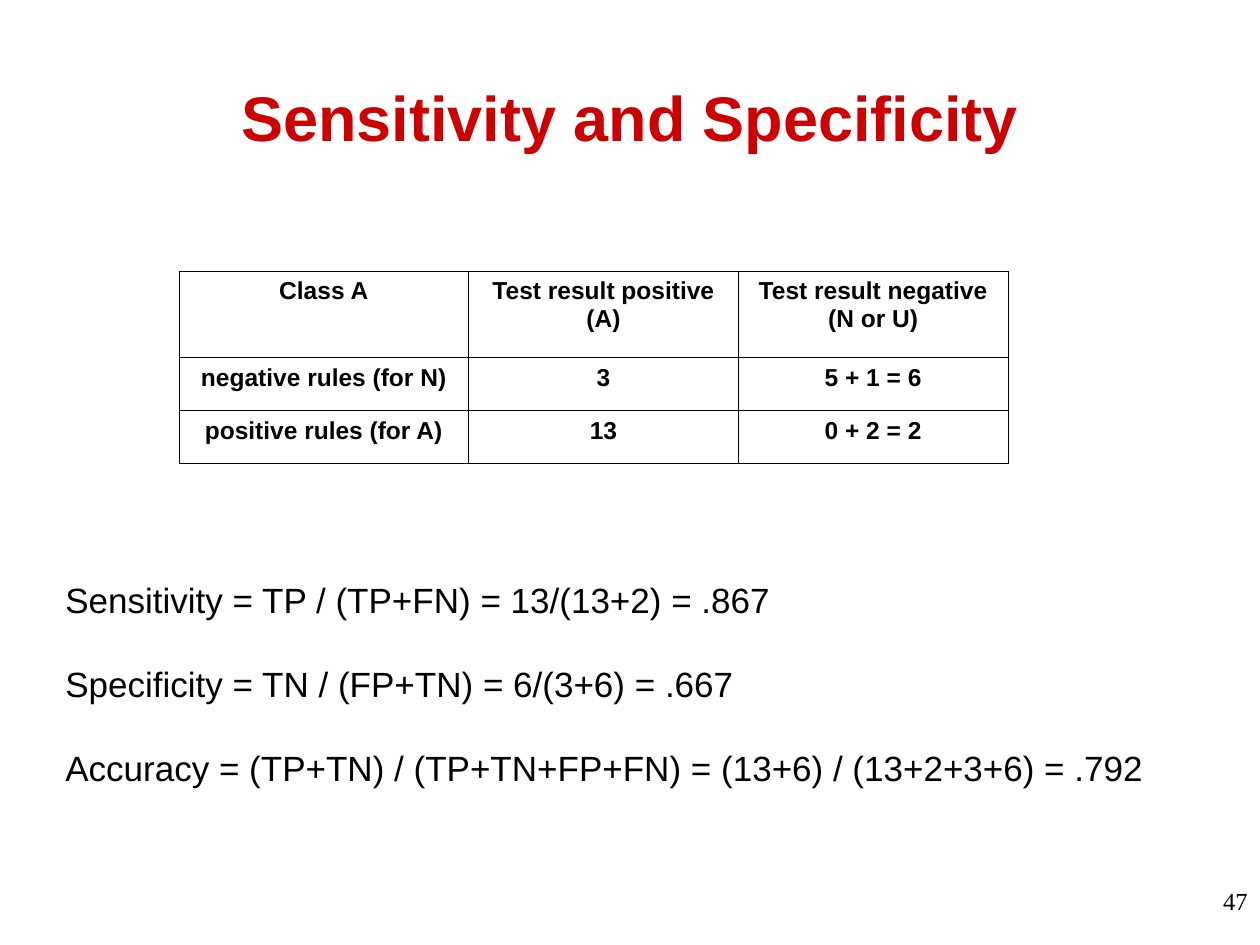
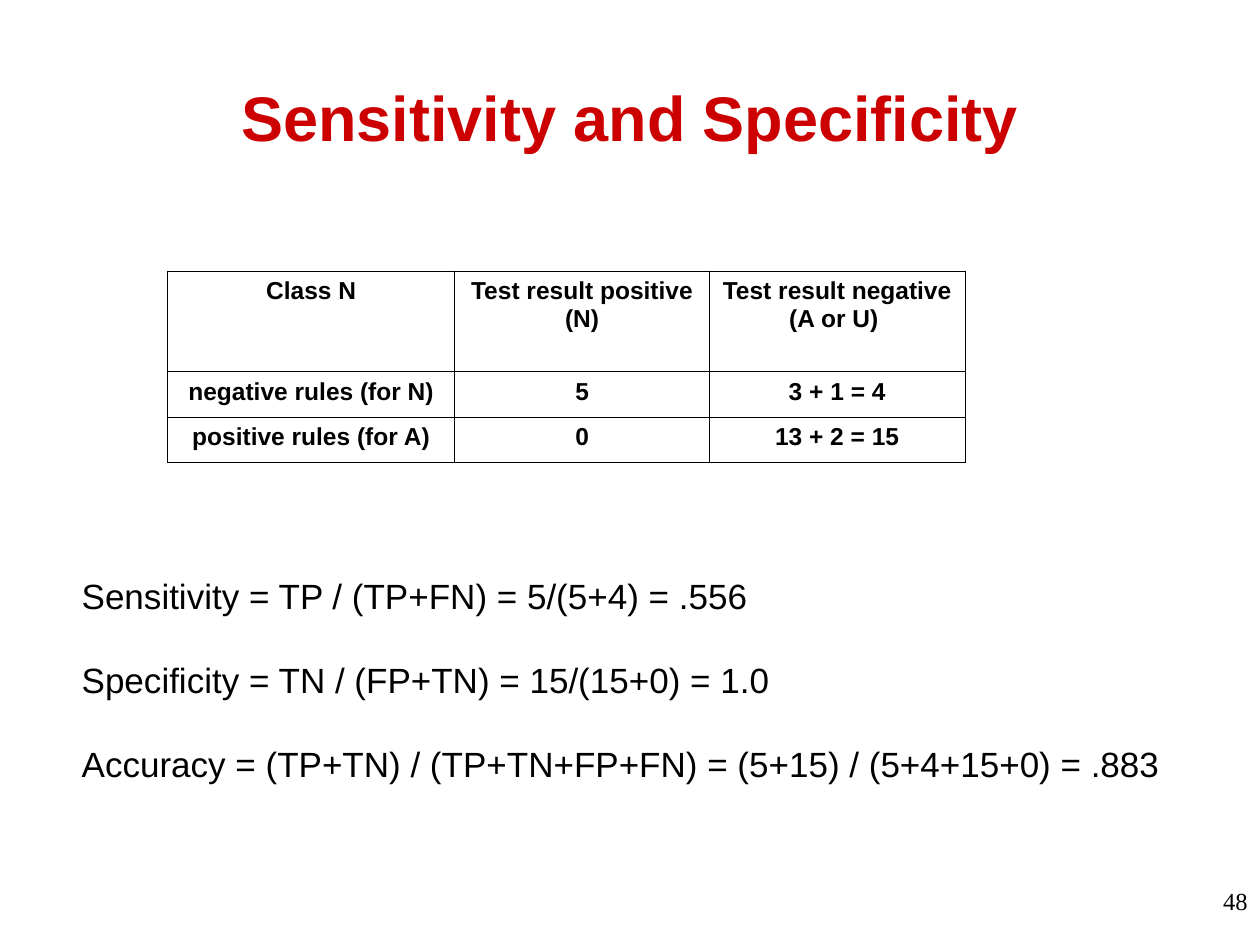
from lxml import etree
from pptx import Presentation
from pptx.dml.color import RGBColor
from pptx.enum.text import MSO_ANCHOR, PP_ALIGN
from pptx.oxml.ns import qn
from pptx.util import Inches, Pt

LEFT, CENTER, RIGHT = PP_ALIGN.LEFT, PP_ALIGN.CENTER, PP_ALIGN.RIGHT
MIDDLE = MSO_ANCHOR.MIDDLE

COLORS = {"title": "CC0000", "text": "000000", "grid": "000000", "page": "FFFFFF"}
SANS, SERIF = "Arial", "Times New Roman"
TITLE = "Sensitivity and Specificity"
TITLE_BOX = (0.5, 0.3, 9, 1.25)
NUMBER_BOX = (7.67, 6.98, 2.33, 0.52)
TABLE_TOP = 2.15
GRID_WIDTH = 0.45
MEASURE_PITCH = 24  # line height and the gap between formulas, in points

RESULTS = [
    {
        "number": 47,
        "counts": [
            ("Class A", "Test result positive (A)", "Test result negative\n(N or U)"),
            ("negative rules (for N)", "3", "5 + 1 = 6"),
            ("positive rules (for A)", "13", "0 + 2 = 2"),
        ],
        "table_left": 1.42,
        "columns": (2.3, 2.14, 2.14),
        "rows": (0.69, 0.42, 0.42),
        "measures": [
            "Sensitivity = TP / (TP+FN) = 13/(13+2) = .867",
            "Specificity = TN / (FP+TN) = 6/(3+6) = .667",
            "Accuracy = (TP+TN) / (TP+TN+FP+FN) = (13+6) / (13+2+3+6) = .792",
        ],
        "measures_box": (0.42, 4.54, 9, 1.77),
        "wrap": True,
    },
    {
        "number": 48,
        "counts": [
            ("Class N", "Test result positive (N)", "Test result negative\n(A or U) "),
            ("negative rules (for N)", "5", "3 + 1 = 4"),
            ("positive rules (for A)", "0", "13 + 2 = 15"),
        ],
        "table_left": 1.33,
        "columns": (2.28, 2.02, 2.03),
        "rows": (0.8, 0.36, 0.36),
        "measures": [
            "Sensitivity = TP / (TP+FN) = 5/(5+4) = .556",
            "Specificity = TN / (FP+TN) = 15/(15+0) = 1.0",
            "Accuracy = (TP+TN) / (TP+TN+FP+FN) = (5+15) / (5+4+15+0) = .883",
        ],
        "measures_box": (0.55, 4.51, 8.84, 1.77),
        "wrap": False,
    },
]


def write(frame, text, size, align=LEFT, font=SANS, color="text", bold=False):
    frame.text = text
    for paragraph in frame.paragraphs:
        paragraph.alignment = align
        for run in paragraph.runs:
            run.font.name = font
            run.font.size = Pt(size)
            run.font.bold = bold
            run.font.color.rgb = RGBColor.from_string(COLORS[color])


def outline(cell):
    """Draw the grid line on all four sides of a cell."""
    properties = cell._tc.get_or_add_tcPr()
    for position, side in enumerate(("a:lnL", "a:lnR", "a:lnT", "a:lnB")):
        line = etree.Element(qn(side), w=str(int(Pt(GRID_WIDTH))))
        fill = etree.SubElement(line, qn("a:solidFill"))
        etree.SubElement(fill, qn("a:srgbClr"), val=COLORS["grid"])
        properties.insert(position, line)


def add_title(slide):
    title = slide.shapes.title
    title.left, title.top, title.width, title.height = map(Inches, TITLE_BOX)
    title.text_frame.vertical_anchor = MIDDLE
    write(title.text_frame, TITLE, 36, CENTER, color="title", bold=True)


def add_counts(slide, result):
    columns, rows = result["columns"], result["rows"]
    table = slide.shapes.add_table(
        len(rows), len(columns), Inches(result["table_left"]), Inches(TABLE_TOP),
        Inches(sum(columns)), Inches(sum(rows))).table
    table.first_row = table.horz_banding = False
    for column, width in zip(table.columns, columns):
        column.width = Inches(width)
    for row, height, texts in zip(table.rows, rows, result["counts"]):
        row.height = Inches(height)
        for cell, text in zip(row.cells, texts):
            write(cell.text_frame, text, 14, CENTER, bold=True)
            cell.fill.solid()
            cell.fill.fore_color.rgb = RGBColor.from_string(COLORS["page"])
            outline(cell)


def add_measures(slide, result):
    frame = slide.shapes.add_textbox(*map(Inches, result["measures_box"])).text_frame
    frame.word_wrap = result["wrap"]
    write(frame, "\n".join(result["measures"]), 20)
    for index, paragraph in enumerate(frame.paragraphs):
        paragraph.line_spacing = Pt(MEASURE_PITCH)
        paragraph.space_before = Pt(MEASURE_PITCH if index else 0)


def add_number(slide, number):
    frame = slide.shapes.add_textbox(*map(Inches, NUMBER_BOX)).text_frame
    frame.word_wrap = True
    write(frame, str(number), 14, RIGHT, SERIF)


def main():
    deck = Presentation()
    deck.slide_width, deck.slide_height = Inches(10), Inches(7.5)
    title_only = deck.slide_layouts.get_by_name("Title Only")
    for result in RESULTS:
        slide = deck.slides.add_slide(title_only)
        add_title(slide)
        add_counts(slide, result)
        add_measures(slide, result)
        add_number(slide, result["number"])
    deck.save("out.pptx")


if __name__ == "__main__":
    main()
